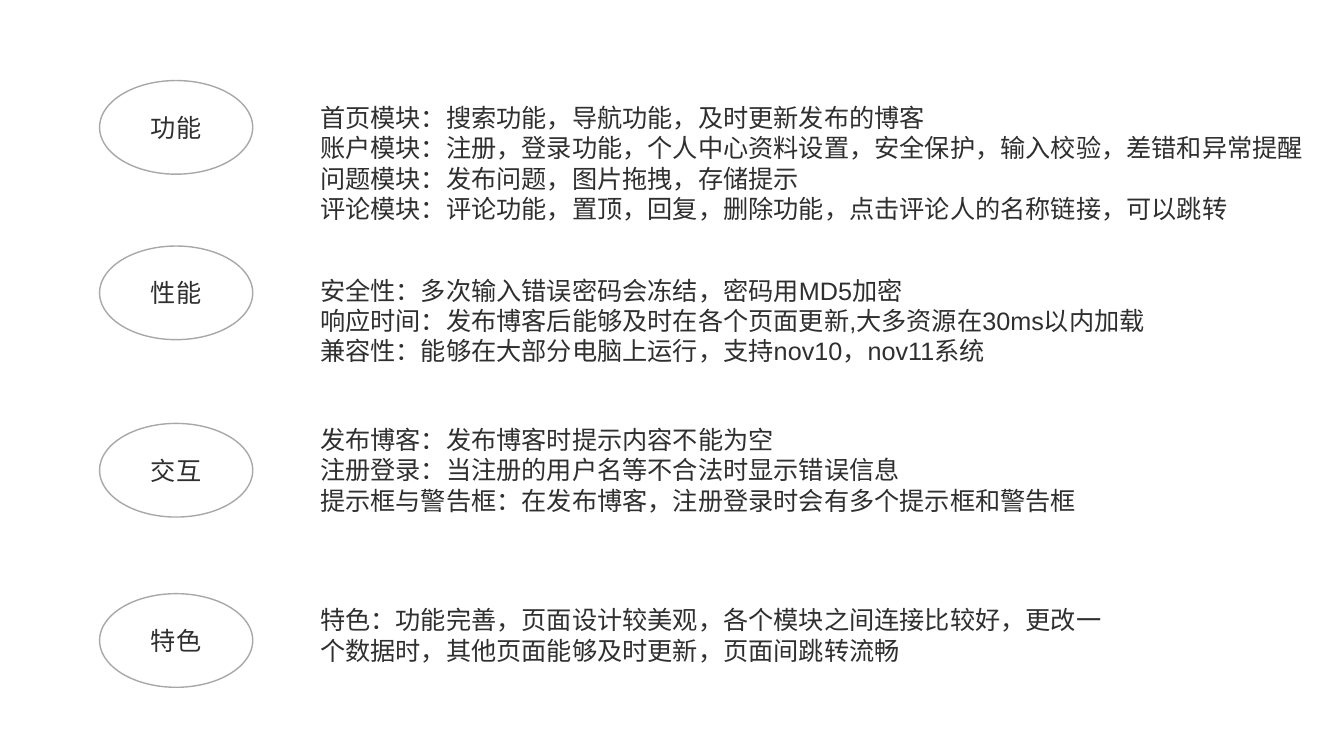
from pptx import Presentation
from pptx.dml.color import RGBColor
from pptx.enum.shapes import MSO_SHAPE
from pptx.enum.text import MSO_ANCHOR, MSO_AUTO_SIZE, PP_ALIGN
from pptx.util import Cm, Pt

OVAL = MSO_SHAPE.OVAL
MIDDLE, TOP = MSO_ANCHOR.MIDDLE, MSO_ANCHOR.TOP
CENTER, LEFT = PP_ALIGN.CENTER, PP_ALIGN.LEFT
GROW = MSO_AUTO_SIZE.SHAPE_TO_FIT_TEXT
WHITE = RGBColor(0xFF, 0xFF, 0xFF)
GREY = RGBColor(0xA8, 0xA8, 0xA8)
INK = RGBColor(0x2F, 0x2F, 0x2F)
FONT = {"name": "Arial", "size": Pt(18)}

SECTION_LEFT = Cm(2.51)
OVAL_WIDTH, OVAL_HEIGHT = Cm(3.86), Cm(2.36)
DETAIL_OFFSET = Cm(5.31)

# label, section top, drop of the details below it, details width and height, lines
SECTIONS = [
    ("功能", 2.03, 0.43, 25.68, 4.88, [
        "首页模块：搜索功能，导航功能，及时更新发布的博客",
        "账户模块：注册，登录功能，个人中心资料设置，安全保护，输入校验，差错和异常提醒",
        "问题模块：发布问题，图片拖拽，存储提示",
        "评论模块：评论功能，置顶，回复，删除功能，点击评论人的名称链接，可以跳转",
    ]),
    ("性能", 6.2, 0.61, 22, 2.57, [
        "安全性：多次输入错误密码会冻结，密码用MD5加密",
        "响应时间：发布博客后能够及时在各个页面更新,大多资源在30ms以内加载",
        "兼容性：能够在大部分电脑上运行，支持nov10，nov11系统",
    ]),
    ("交互", 10.67, -0.1, 20.35, 2.57, [
        "发布博客：发布博客时提示内容不能为空",
        "注册登录：当注册的用户名等不合法时显示错误信息",
        "提示框与警告框：在发布博客，注册登录时会有多个提示框和警告框",
    ]),
    ("特色", 14.96, 0.15, 20.35, 1.8, [
        "特色：功能完善，页面设计较美观，各个模块之间连接比较好，"
        "更改一个数据时，其他页面能够及时更新，页面间跳转流畅",
    ]),
]


def write_lines(tf, lines, align, anchor):
    tf.word_wrap = True
    tf.vertical_anchor = anchor
    for i, line in enumerate(lines):
        p = tf.paragraphs[0] if i == 0 else tf.add_paragraph()
        p.alignment = align
        r = p.add_run()
        r.text = line
        for attr, value in FONT.items():
            setattr(r.font, attr, value)
        r.font.color.rgb = INK


def add_label(s, left, top, text):
    sp = s.shapes.add_shape(OVAL, left, top, OVAL_WIDTH, OVAL_HEIGHT)
    sp.shadow.inherit = False
    sp.fill.solid()
    sp.fill.fore_color.rgb = WHITE
    sp.line.color.rgb = GREY
    sp.line.width = Pt(1)
    write_lines(sp.text_frame, [text], CENTER, MIDDLE)


def add_details(s, left, top, width, height, lines):
    tf = s.shapes.add_textbox(left, top, width, height).text_frame
    write_lines(tf, lines, LEFT, TOP)
    tf.auto_size = GROW


def add_section(s, left, top, label, drop, width, height, lines):
    add_label(s, left, top, label)
    add_details(s, left + DETAIL_OFFSET, top + drop, width, height, lines)


def main():
    prs = Presentation()
    prs.slide_width, prs.slide_height = Cm(33.87), Cm(19.05)
    s = prs.slides.add_slide(prs.slide_layouts[6])
    s.background.fill.solid()
    s.background.fill.fore_color.rgb = WHITE
    for label, top, drop, width, height, lines in SECTIONS:
        add_section(s, SECTION_LEFT, Cm(top), label, Cm(drop),
                    Cm(width), Cm(height), lines)
    prs.save("out.pptx")


if __name__ == "__main__":
    main()
